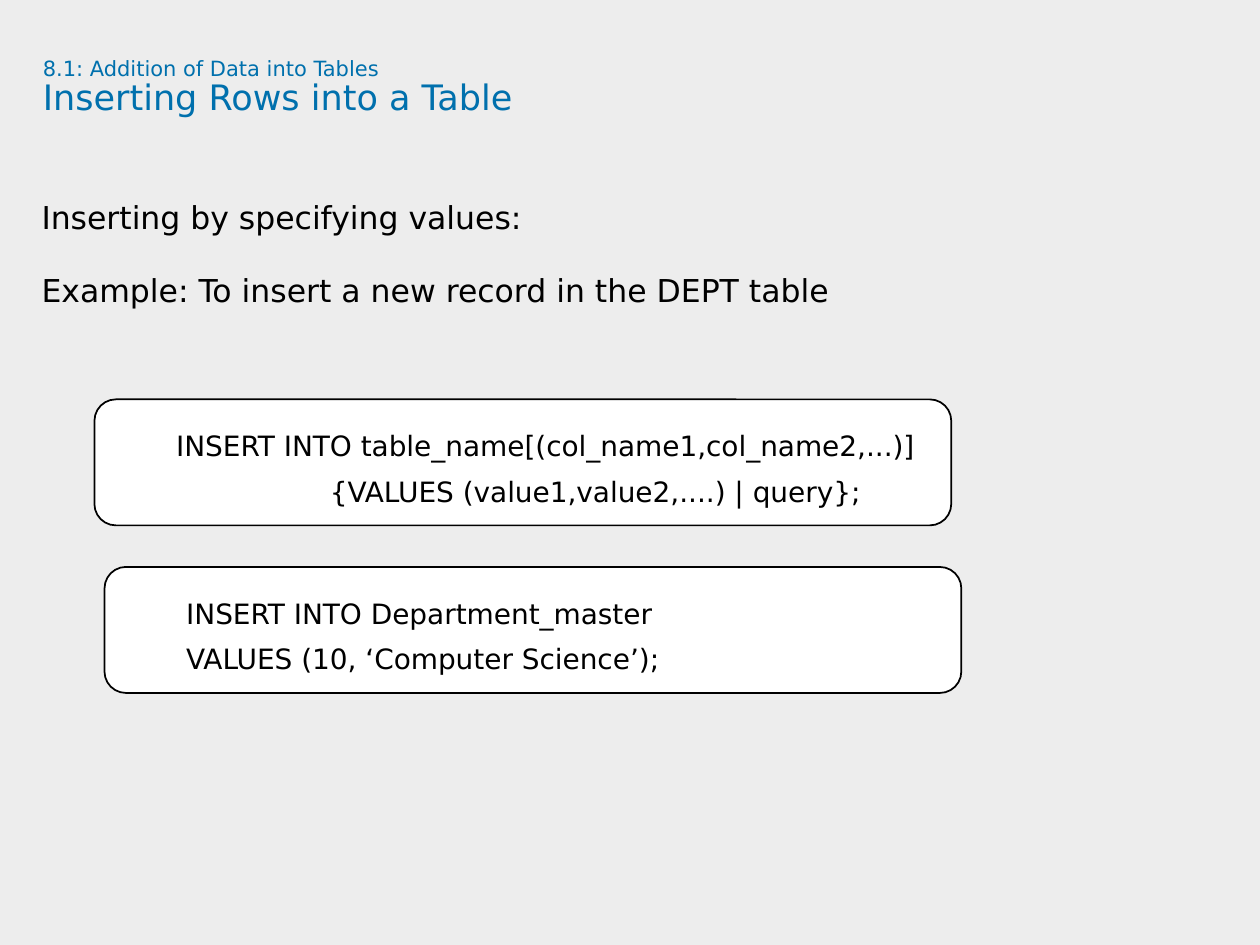
"""Build the slide on inserting rows into a table."""
import dataclasses

import pptx
import pptx.dml.color
import pptx.enum.shapes
import pptx.enum.text
import pptx.util

Inches = pptx.util.Inches
Pt = pptx.util.Pt
RGBColor = pptx.dml.color.RGBColor
Anchor = pptx.enum.text.MSO_ANCHOR


@dataclasses.dataclass(frozen=True)
class Theme:
    """Colours, font and type sizes of the slide."""
    backdrop: str = "EDEDED"
    heading: str = "0070AD"
    ink: str = "000000"
    panel: str = "FFFFFF"
    font: str = "DejaVu Sans"
    section_size: int = 12
    title_size: int = 20
    body_size: int = 18
    code_size: int = 16


THEME = Theme()


def apply_format(target, values):
    """Set each attribute named in values on target."""
    for name, value in values.items():
        setattr(target, name, value)


def frame_format(inset_x, inset_y, anchor):
    """Return text frame settings with symmetric insets."""
    return {
        "word_wrap": True,
        "vertical_anchor": anchor,
        "margin_left": Inches(inset_x),
        "margin_right": Inches(inset_x),
        "margin_top": Inches(inset_y),
        "margin_bottom": Inches(inset_y),
    }


def write_lines(frame, lines, color, spacing):
    """Write (text, size, indent) lines as left-aligned paragraphs."""
    for index, (text, size, indent) in enumerate(lines):
        line = frame.paragraphs[0] if index == 0 else frame.add_paragraph()
        line.text = text
        apply_format(line, {"alignment": pptx.enum.text.PP_ALIGN.LEFT, **spacing})
        apply_format(line.font, {"name": THEME.font, "size": Pt(size)})
        line.font.color.rgb = RGBColor.from_string(color)
        if indent:
            line._p.get_or_add_pPr().set("marL", str(Inches(indent)))


def add_text(slide, box, lines, color, spacing):
    """Add a text box without insets."""
    frame = slide.shapes.add_textbox(*map(Inches, box)).text_frame
    apply_format(frame, frame_format(0, 0, Anchor.TOP))
    write_lines(frame, lines, color, spacing)


def add_code_panel(slide, left, top, lines):
    """Add a rounded panel with lines of SQL."""
    panel = slide.shapes.add_shape(
        pptx.enum.shapes.MSO_SHAPE.ROUNDED_RECTANGLE,
        Inches(left), Inches(top), Inches(6.8), Inches(1))
    panel.shadow.inherit = False
    panel.adjustments[0] = 0.17
    panel.fill.solid()
    panel.fill.fore_color.rgb = RGBColor.from_string(THEME.panel)
    panel.line.color.rgb = RGBColor.from_string(THEME.ink)
    panel.line.width = Pt(1)
    apply_format(panel.text_frame, frame_format(0.1, 0.05, Anchor.MIDDLE))
    sized = [(text, THEME.code_size, indent) for text, indent in lines]
    write_lines(panel.text_frame, sized, THEME.ink, {"line_spacing": 1.35})


def main():
    """Build and save the slide."""
    deck = pptx.Presentation()
    apply_format(deck, {"slide_width": Inches(10), "slide_height": Inches(7.5)})
    slide = deck.slides.add_slide(deck.slide_layouts[6])
    slide.background.fill.solid()
    slide.background.fill.fore_color.rgb = RGBColor.from_string(THEME.backdrop)

    add_text(slide, (0.34, 0.46, 9.09, 0.94), [
        ("8.1: Addition of Data into Tables", THEME.section_size, 0),
        ("Inserting Rows into a Table", THEME.title_size, 0),
    ], THEME.heading, {"line_spacing": 0.9})
    add_text(slide, (0.33, 1.64, 9.67, 5.08), [
        ("Inserting by specifying values:", THEME.body_size, 0),
        ("Example: To insert a new record in the DEPT table", THEME.body_size, 0),
    ], THEME.ink, {"line_spacing": Pt(16.5), "space_after": Pt(25.5)})

    add_code_panel(slide, 0.75, 3.17, [
        ("INSERT INTO table_name[(col_name1,col_name2,...)]", 0.5),
        ("{VALUES (value1,value2,....) | query};", 1.72),
    ])
    add_code_panel(slide, 0.83, 4.5, [
        ("INSERT INTO Department_master", 0.5),
        ("VALUES (10, ‘Computer Science’);", 0.5),
    ])
    deck.save("out.pptx")


if __name__ == "__main__":
    main()
